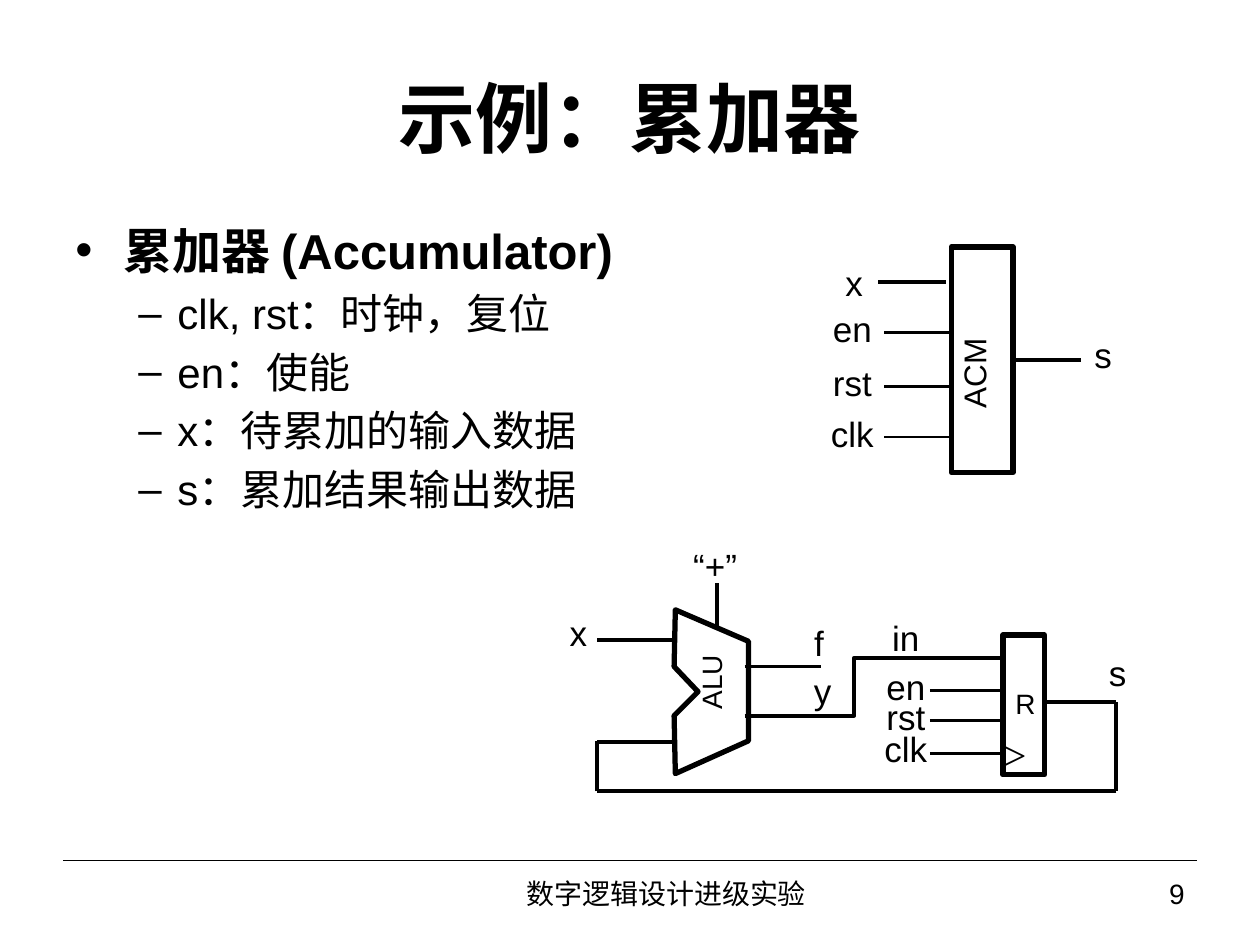
from dataclasses import dataclass

from lxml.etree import SubElement
from pptx import Presentation
from pptx.dml.color import RGBColor
from pptx.enum.shapes import MSO_CONNECTOR, MSO_SHAPE
from pptx.enum.text import MSO_ANCHOR, MSO_AUTO_SIZE, PP_ALIGN
from pptx.oxml.ns import qn
from pptx.util import Emu, Pt

BLACK = RGBColor(0, 0, 0)
SCALE = 9144
THIN, MID, BOLD = 1.5, 2.25, 3


@dataclass
class Wire:
    x1: int
    y1: int
    x2: int
    y2: int
    width: float = MID


@dataclass
class Label:
    text: str
    x: int
    y: int
    w: int
    h: int
    size: int = 20
    font: str = "Arial"
    grow: bool = False


@dataclass
class Box:
    x: int
    y: int
    w: int
    h: int


WIRES = [
    Wire(50, 683, 950, 683, 0.75),
    Wire(697, 224, 751, 224),
    Wire(803, 286, 858, 286),
    *[Wire(702, y, 756, y, THIN) for y in (264, 307, 347)],
    Wire(739, 522, 796, 522),
    Wire(829, 557, 886, 557),
    *[Wire(738, y, 796, y, THIN) for y in (548, 572, 598)],
    Wire(886, 628, 474, 628),
    Wire(474, 628, 474, 588),
    Wire(886, 628, 886, 557),
    Wire(474, 508, 535, 508),
    Wire(474, 589, 535, 589),
    Wire(591, 529, 652, 529),
    Wire(591, 568, 652, 568),
    Wire(569, 463, 569, 497),
]
LABELS = [
    Label("x", 671, 201, 14, 46, grow=True),
    *[Label(t, 656, y, 41, 46)
      for t, y in (("en", 238), ("rst", 281), ("clk", 321))],
    Label("s", 855, 258, 41, 46),
    *[Label(t, 701, y, 36, 28)
      for t, y in (("in", 492), ("en", 531), ("rst", 555), ("clk", 580))],
    Label("s", 879, 521, 16, 26),
    Label(">", 796, 581, 16, 34, 24, "Times New Roman", True),
    Label("R", 806, 547, 13, 23, 16, grow=True),
    Label("x", 441, 488, 36, 28),
    Label("f", 632, 496, 36, 28),
    Label("y", 635, 534, 36, 28),
    Label("“+”", 543, 436, 49, 26),
]
TURNED = [Label("ACM", 753, 244, 50, 90, 18),
          Label("ALU", 546, 528, 47, 45, 16)]
BOXES = [Box(755, 196, 49, 179), Box(796, 504, 33, 111)]
ALU = [(536, 484), (594, 509), (594, 588), (536, 614),
       (535, 568), (554, 549), (535, 529)]
ITEMS = ["clk, rst：时钟，复位", "en：使能",
         "x：待累加的输入数据", "s：累加结果输出数据"]


def px(n: float) -> Emu:
    return Emu(round(n * SCALE))


def write(para, text: str, *, size: int, font="Arial", bold=False) -> None:
    run = para.add_run()
    run.text = text
    run.font.size = Pt(size)
    run.font.name = font
    run.font.bold = bold
    run.font.color.rgb = BLACK


def frame(slide, x: int, y: int, w: int, h: int, *, wrap=True, inset=True,
          grow=False, anchor=MSO_ANCHOR.MIDDLE, align=None):
    box = slide.shapes.add_textbox(px(x), px(y), px(w), px(h)).text_frame
    box.word_wrap = wrap
    box.auto_size = MSO_AUTO_SIZE.SHAPE_TO_FIT_TEXT if grow else MSO_AUTO_SIZE.NONE
    box.vertical_anchor = anchor
    if not inset:
        box.margin_left = box.margin_right = 0
        box.margin_top = box.margin_bottom = 0
    if align is not None:
        box.paragraphs[0].alignment = align
    return box


def label(slide, item: Label) -> None:
    box = frame(slide, item.x, item.y, item.w, item.h,
                wrap=not item.grow, inset=False, grow=item.grow,
                align=None if item.grow else PP_ALIGN.CENTER)
    write(box.paragraphs[0], item.text, size=item.size, font=item.font)


def turn(slide, item: Label) -> None:
    box = frame(slide, item.x, item.y, item.w, item.h,
                wrap=False, grow=True, anchor=MSO_ANCHOR.TOP)
    box._txBody.find(qn("a:bodyPr")).set("vert", "vert270")
    write(box.paragraphs[0], item.text, size=item.size)


def wire(slide, item: Wire, kind=MSO_CONNECTOR.STRAIGHT):
    line = slide.shapes.add_connector(
        kind, px(item.x1), px(item.y1), px(item.x2), px(item.y2))
    line.line.color.rgb = BLACK
    line.line.width = Pt(item.width)
    SubElement(line._element.spPr, qn("a:effectLst"))
    return line


def bend(slide, item: Wire, ratio: float) -> None:
    line = wire(slide, item, MSO_CONNECTOR.ELBOW)
    geom = line._element.spPr.find(qn("a:prstGeom"))
    SubElement(geom.find(qn("a:avLst")), qn("a:gd"),
               name="adj1", fmla=f"val {round(ratio * 100000)}")


def outline(shape) -> None:
    shape.shadow.inherit = False
    shape.fill.background()
    shape.line.color.rgb = BLACK
    shape.line.width = Pt(BOLD)


def bullet(para, mark: str, left: int, hang: int, gap: float) -> None:
    para.space_before = Pt(gap)
    props = para._p.get_or_add_pPr()
    props.set("marL", str(px(left)))
    props.set("indent", str(px(-hang)))
    SubElement(props, qn("a:buFont"), typeface="Arial")
    SubElement(props, qn("a:buChar"), char=mark)


def main() -> None:
    deck = Presentation()
    deck.slide_width, deck.slide_height = px(1000), px(750)
    slide = deck.slides.add_slide(deck.slide_layouts[6])

    title = frame(slide, 50, 30, 900, 125, align=PP_ALIGN.CENTER).paragraphs[0]
    write(title, "示例：", size=44, bold=True)
    write(title, "累加器", size=44, font="Times New Roman", bold=True)
    foot = frame(slide, 283, 683, 492, 52, align=PP_ALIGN.CENTER)
    write(foot.paragraphs[0], "数字逻辑设计进级实验", size=16)
    page = frame(slide, 775, 683, 175, 52, align=PP_ALIGN.RIGHT)
    write(page.paragraphs[0], "9", size=16)

    body = frame(slide, 50, 170, 481, 338, anchor=MSO_ANCHOR.TOP)
    bullet(body.paragraphs[0], "•", 38, 38, 6)
    write(body.paragraphs[0], "累加器 (Accumulator)", size=28, bold=True)
    for text in ITEMS:
        para = body.add_paragraph()
        para.level = 1
        bullet(para, "–", 81, 31, 4.7)
        write(para, text, size=24)

    for item in WIRES:
        wire(slide, item)
    bend(slide, Wire(646, 568, 743, 522), 0.33)
    for box in BOXES:
        outline(slide.shapes.add_shape(
            MSO_SHAPE.RECTANGLE, px(box.x), px(box.y), px(box.w), px(box.h)))
    start, *rest = [(px(x), px(y)) for x, y in ALU]
    trace = slide.shapes.build_freeform(*start)
    trace.add_line_segments(rest, close=True)
    outline(trace.convert_to_shape())
    for item in LABELS:
        label(slide, item)
    for item in TURNED:
        turn(slide, item)

    deck.save("out.pptx")


if __name__ == "__main__":
    main()
